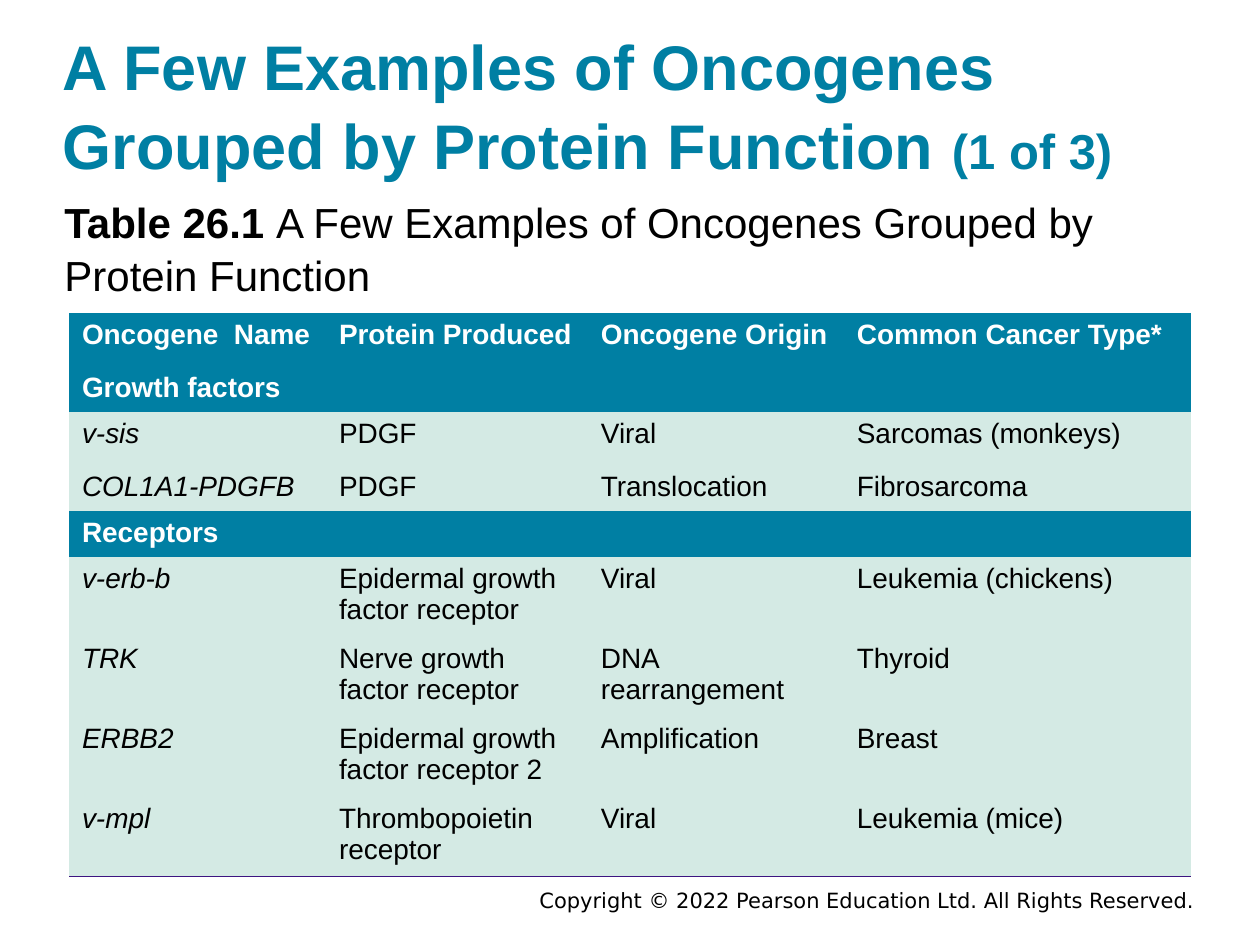
from dataclasses import dataclass

from lxml import etree
from pptx import Presentation
from pptx import util as u
from pptx.dml.color import RGBColor
from pptx.enum import text
from pptx.oxml import ns

COLOURS = {
    "teal": "007FA3",
    "mint": "D4EAE4",
    "white": "FFFFFF",
    "black": "000000",
    "purple": "3C1581",
}


@dataclass
class Span:
    wording: str
    size: float
    colour: str = "black"
    bold: bool = False
    italic: bool = False
    font: str = "Arial"


@dataclass
class TextBlock:
    left: float
    top: float
    width: float
    height: float
    spans: list[Span]
    anchor: text.MSO_ANCHOR = text.MSO_ANCHOR.TOP
    align: text.PP_ALIGN = text.PP_ALIGN.LEFT
    spacing: float = 1.0


@dataclass
class TableRow:
    height: float
    cells: list[str]
    heading: bool = False


BLOCKS = [
    TextBlock(4.45, 17.86, 19.88, 0.56,
              [Span("Copyright © 2022 Pearson Education Ltd. All Rights Reserved.",
                    12, font="DejaVu Sans")],
              text.MSO_ANCHOR.MIDDLE, text.PP_ALIGN.RIGHT),
    TextBlock(1.27, 0.43, 22.86, 3.3,
              [Span("A Few Examples of Oncogenes Grouped by Protein Function ",
                    36, "teal", True),
               Span("(1 of 3)", 28, "teal", True)],
              text.MSO_ANCHOR.MIDDLE, spacing=1.05),
    TextBlock(1.3, 3.91, 22.83, 2.03,
              [Span("Table 26.1 ", 24, bold=True),
               Span("A Few Examples of Oncogenes Grouped by Protein Function", 24)],
              spacing=1.05),
]

COLUMN_WIDTHS = [5.18, 5.28, 5.16, 6.98]
TALL, SHORT, DOUBLE = 1.07, 0.86, 1.47
ROWS = [
    TableRow(TALL, ["Oncogene  Name", "Protein Produced", "Oncogene Origin",
                    "Common Cancer Type*"], True),
    TableRow(SHORT, ["Growth factors", "", "", ""], True),
    TableRow(TALL, ["v-sis", "PDGF", "Viral", "Sarcomas (monkeys)"]),
    TableRow(SHORT, ["COL1A1-PDGFB", "PDGF", "Translocation", "Fibrosarcoma"]),
    TableRow(SHORT, ["Receptors", "", "", ""], True),
    TableRow(DOUBLE, ["v-erb-b", "Epidermal growth factor receptor", "Viral",
                      "Leukemia (chickens)"]),
    TableRow(DOUBLE, ["TRK", "Nerve growth factor receptor", "DNA rearrangement",
                      "Thyroid"]),
    TableRow(DOUBLE, ["ERBB2", "Epidermal growth factor receptor 2",
                      "Amplification", "Breast"]),
    TableRow(DOUBLE, ["v-mpl", "Thrombopoietin receptor", "Viral",
                      "Leukemia (mice)"]),
]


def set_values(target, values: dict) -> None:
    for name, value in values.items():
        setattr(target, name, value)


def add_span(para, span: Span) -> None:
    run = para.add_run()
    run.text = span.wording
    set_values(run.font, {"name": span.font, "size": u.Pt(span.size),
                          "bold": span.bold, "italic": span.italic})
    run.font.color.rgb = RGBColor.from_string(COLOURS[span.colour])


def add_block(page, block: TextBlock) -> None:
    box = page.shapes.add_textbox(u.Cm(block.left), u.Cm(block.top),
                                  u.Cm(block.width), u.Cm(block.height))
    inset = u.Cm(0.25) if block.align == text.PP_ALIGN.RIGHT else 0
    set_values(box.text_frame, {
        "word_wrap": True, "vertical_anchor": block.anchor,
        "margin_left": inset, "margin_right": inset,
        "margin_top": 0, "margin_bottom": 0})
    para = box.text_frame.paragraphs[0]
    set_values(para, {"alignment": block.align, "line_spacing": block.spacing})
    for span in block.spans:
        add_span(para, span)


def add_bottom_border(cell, colour: str) -> None:
    border = etree.Element(ns.qn("a:lnB"), w=str(u.Pt(1)))
    fill = etree.SubElement(border, ns.qn("a:solidFill"))
    etree.SubElement(fill, ns.qn("a:srgbClr"), val=COLOURS[colour])
    cell._tc.get_or_add_tcPr().insert(0, border)


def fill_cell(cell, wording: str, heading: bool, italic: bool) -> None:
    cell.fill.solid()
    cell.fill.fore_color.rgb = RGBColor.from_string(
        COLOURS["teal" if heading else "mint"])
    para = cell.text_frame.paragraphs[0]
    if wording:
        add_span(para, Span(wording, 16, "white" if heading else "black",
                            heading, italic))
    else:
        etree.SubElement(para._p, ns.qn("a:endParaRPr"), sz="1600")


def add_oncogene_table(page) -> None:
    frame = page.shapes.add_table(
        len(ROWS), len(COLUMN_WIDTHS), u.Cm(1.4), u.Cm(6.3),
        u.Cm(sum(COLUMN_WIDTHS)), u.Cm(sum(row.height for row in ROWS)))
    table = frame.table
    set_values(table, {"first_row": False, "horz_banding": False})
    frame._element.find(".//" + ns.qn("a:tableStyleId")).text = (
        "{2D5ABB26-0587-4C30-8999-92F81FD0307C}")
    for column, width in zip(table.columns, COLUMN_WIDTHS):
        column.width = u.Cm(width)
    for index, row in enumerate(ROWS):
        table.rows[index].height = u.Cm(row.height)
        for position, wording in enumerate(row.cells):
            fill_cell(table.cell(index, position), wording, row.heading,
                      position == 0 and not row.heading)
    for cell in table.rows[len(ROWS) - 1].cells:
        add_bottom_border(cell, "purple")


def main() -> None:
    deck = Presentation()
    set_values(deck, {"slide_width": u.Cm(25.4), "slide_height": u.Cm(19.05)})
    page = deck.slides.add_slide(deck.slide_layouts[6])
    for block in BLOCKS:
        add_block(page, block)
    add_oncogene_table(page)
    deck.save("out.pptx")


if __name__ == "__main__":
    main()
